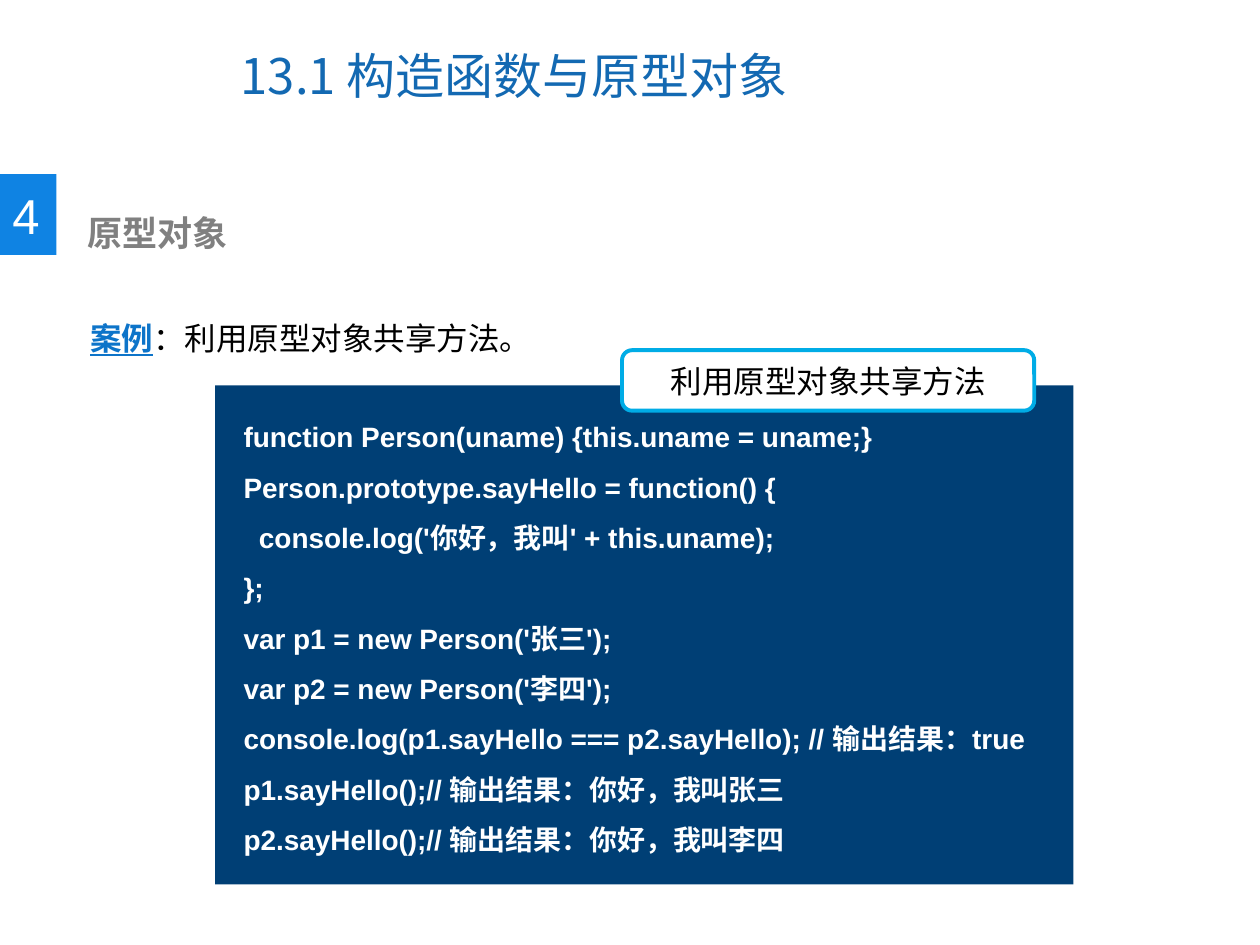
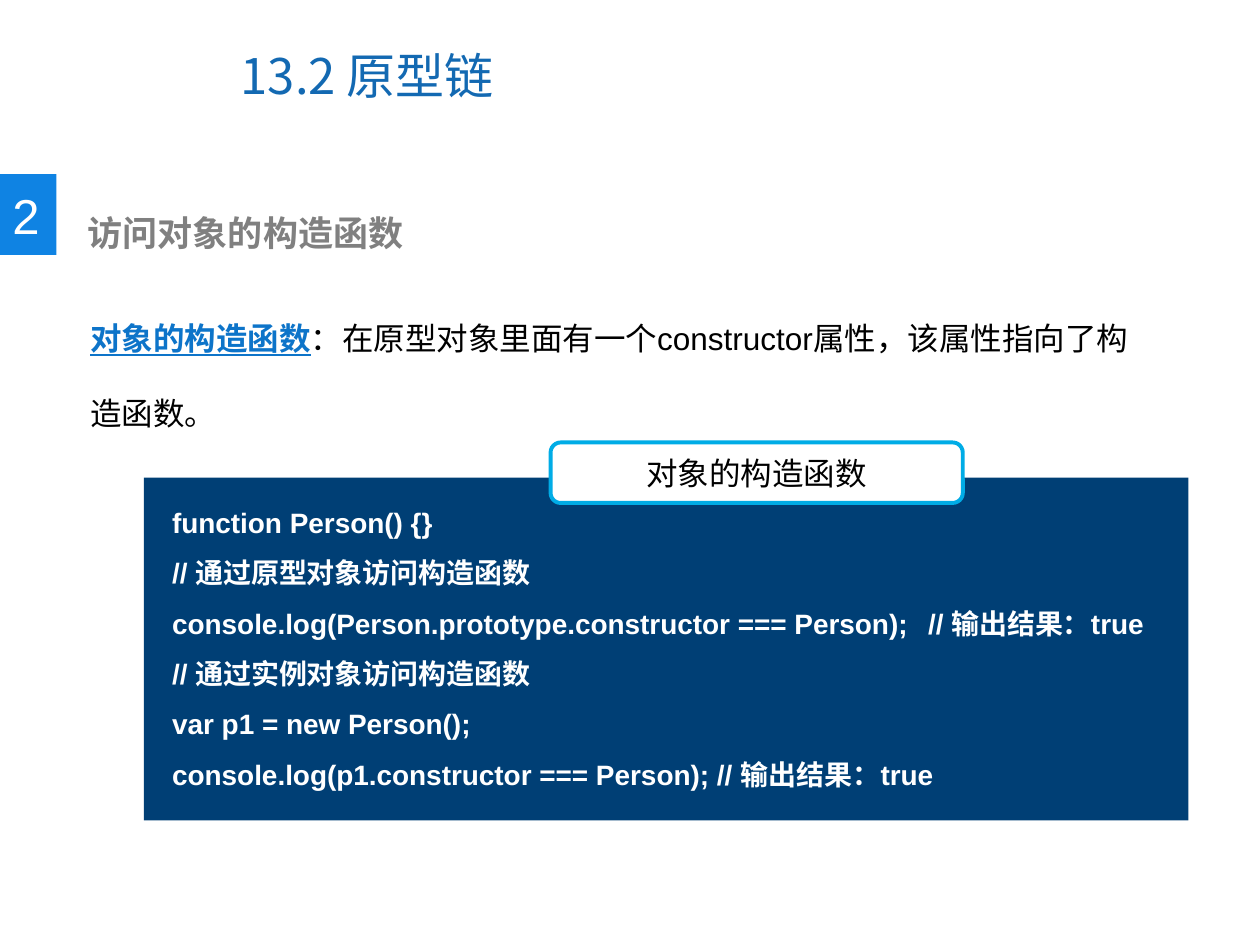
from pptx import Presentation
from pptx.dml.color import RGBColor
from pptx.enum.shapes import MSO_SHAPE
from pptx.enum.text import MSO_ANCHOR, MSO_AUTO_SIZE, PP_ALIGN
from pptx.oxml.ns import qn
from pptx.util import Cm, Pt
from lxml import etree

WHITE = RGBColor(0xFF, 0xFF, 0xFF)
BLACK = RGBColor(0x00, 0x00, 0x00)
GRAY = RGBColor(0x80, 0x80, 0x80)
TITLE_BLUE = RGBColor(0x13, 0x69, 0xB2)
TERM_BLUE = RGBColor(0x0D, 0x74, 0xC9)
BADGE_BLUE = RGBColor(0x0F, 0x83, 0xE3)
CODE_NAVY = RGBColor(0x00, 0x3F, 0x75)
CAPTION_CYAN = RGBColor(0x00, 0xAC, 0xE6)

LATIN_FONT = "Arial"
CJK_FONT = "Noto Sans CJK SC"
TITLE_ONLY = 5
RECT = MSO_SHAPE.RECTANGLE
ROUNDED = MSO_SHAPE.ROUNDED_RECTANGLE
LEFT = PP_ALIGN.LEFT
CENTER = PP_ALIGN.CENTER
MIDDLE = MSO_ANCHOR.MIDDLE
NO_AUTOFIT = MSO_AUTO_SIZE.NONE

PROTOTYPE_CODE = (
    "function Person(uname) {this.uname = uname;}",
    "Person.prototype.sayHello = function() {",
    "  console.log('你好，我叫' + this.uname);",
    "};",
    "var p1 = new Person('张三');",
    "var p2 = new Person('李四');",
    "console.log(p1.sayHello === p2.sayHello); // 输出结果：true",
    "p1.sayHello();// 输出结果：你好，我叫张三",
    "p2.sayHello();// 输出结果：你好，我叫李四",
)
CONSTRUCTOR_CODE = (
    "function Person() {}",
    "// 通过原型对象访问构造函数",
    "console.log(Person.prototype.constructor === Person);\t// 输出结果：true",
    "// 通过实例对象访问构造函数",
    "var p1 = new Person();",
    "console.log(p1.constructor === Person); // 输出结果：true",
)


def style_run(run, size, color, bold=False, underline=False, latin=LATIN_FONT):
    """Set size, colour, weight and the Latin and East Asian fonts of a run."""
    font = run.font
    font.size, font.bold, font.underline = Pt(size), bold, underline
    font.color.rgb = color
    font.name = latin
    east_asian = etree.Element(qn("a:ea"), typeface=CJK_FONT)
    font._element.find(qn("a:latin")).addnext(east_asian)


def add_run(paragraph, text, size, color, **style):
    """Append a styled run to a paragraph."""
    run = paragraph.add_run()
    run.text = text
    style_run(run, size, color, **style)


def add_text(slide, left, top, width, height, wrap=True):
    """Add an empty text box, in centimetres, and return its text frame."""
    box = slide.shapes.add_textbox(Cm(left), Cm(top), Cm(width), Cm(height))
    box.text_frame.word_wrap = wrap
    return box.text_frame


def add_panel(slide, kind, left, top, width, height, fill):
    """Add a flat filled shape, in centimetres, without outline."""
    panel = slide.shapes.add_shape(kind, Cm(left), Cm(top), Cm(width), Cm(height))
    panel.shadow.inherit = False
    panel.fill.solid()
    panel.fill.fore_color.rgb = fill
    panel.line.fill.background()
    return panel


def set_title(slide, number, topic):
    """Place the section number and topic in the title placeholder."""
    title = slide.shapes.title
    title.left, title.top, title.width, title.height = Cm(4.6), Cm(0.43), Cm(13.11), Cm(2.16)
    frame = title.text_frame
    frame.auto_size = NO_AUTOFIT
    frame.vertical_anchor = MIDDLE
    heading = frame.paragraphs[0]
    heading.alignment = LEFT
    add_run(heading, f"{number} ", 28, TITLE_BLUE, latin=CJK_FONT)
    add_run(heading, topic, 28, TITLE_BLUE)


def add_subheading(slide, number, text):
    """Add the numbered badge at the left edge and the subheading beside it."""
    add_panel(slide, RECT, 0, 3.51, 1.14, 1.63, BADGE_BLUE)
    badge = add_text(slide, 0, 3.61, 1.07, 1.45, wrap=False)
    add_run(badge.paragraphs[0], number, 28, WHITE)
    subheading = add_text(slide, 1.52, 4.14, 13, 1.12)
    add_run(subheading.paragraphs[0], text, 20, GRAY, bold=True)


def add_statement(slide, term, explanation, height):
    """Add an underlined term followed by its explanation."""
    statement = add_text(slide, 1.57, 5.54, 21.97, height).paragraphs[0]
    statement.line_spacing = 2.0
    add_run(statement, term, 18, TERM_BLUE, bold=True, underline=True)
    add_run(statement, explanation, 18, BLACK)


def add_code(slide, caption, lines, left, top, width, height, drop):
    """Add a code panel whose rounded caption overlaps the top edge."""
    add_panel(slide, RECT, left, top, width, height, CODE_NAVY)
    code = add_text(slide, left + 0.32, top + drop, width - 0.32, height - drop)
    code.text = "\n".join(lines)
    for line in code.paragraphs:
        line.line_spacing = 1.5
        style_run(line.runs[0], 16, WHITE, bold=True)

    label = add_panel(slide, ROUNDED, left + 8.2, top - 0.71, 8.31, 1.22, WHITE)
    label.line.color.rgb = CAPTION_CYAN
    label.line.width = Pt(2.25)
    label.text_frame.vertical_anchor = MIDDLE
    label_line = label.text_frame.paragraphs[0]
    label_line.alignment = CENTER
    add_run(label_line, caption, 18, BLACK)


def add_lesson(deck, section, subheading, statement, code):
    """Add one lesson slide from its title, subheading, statement and code."""
    slide = deck.slides.add_slide(deck.slide_layouts[TITLE_ONLY])
    add_statement(slide, *statement)
    set_title(slide, *section)
    add_subheading(slide, *subheading)
    add_code(slide, *code)


def main():
    """Build and save the two lesson slides."""
    deck = Presentation()
    deck.slide_width, deck.slide_height = Cm(25.4), Cm(19.05)
    add_lesson(
        deck,
        ("13.1", "构造函数与原型对象"),
        ("4", "原型对象"),
        ("案例", "：利用原型对象共享方法。", 1.55),
        ("利用原型对象共享方法", PROTOTYPE_CODE, 4.34, 7.77, 17.3, 10.06, 0.23),
    )
    add_lesson(
        deck,
        ("13.2", "原型链"),
        ("2", "访问对象的构造函数"),
        ("对象的构造函数",
         "：在原型对象里面有一个constructor属性，该属性指向了构造函数。", 3.33),
        ("对象的构造函数", CONSTRUCTOR_CODE, 2.9, 9.63, 21.06, 6.91, 0.1),
    )
    deck.save("out.pptx")


if __name__ == "__main__":
    main()
